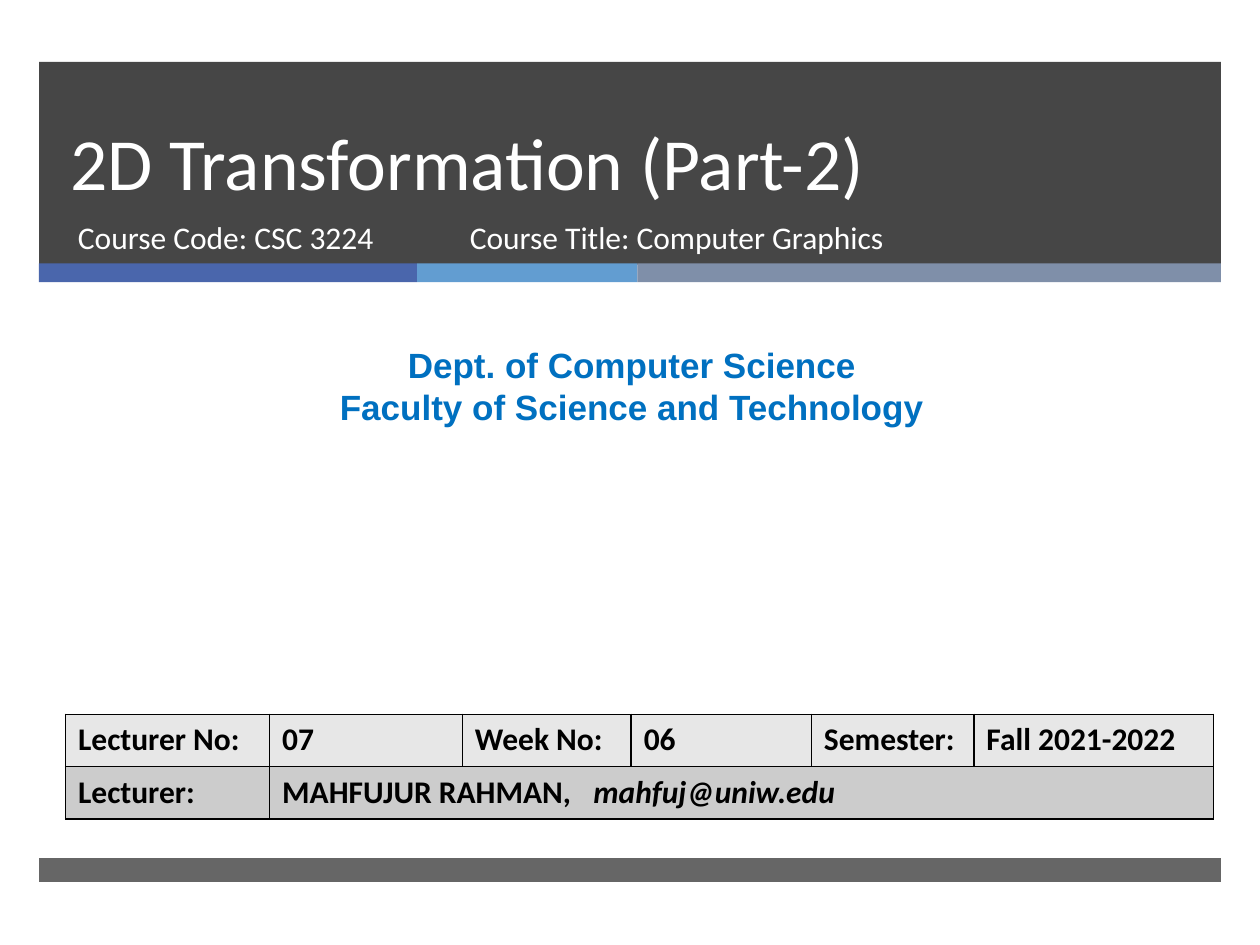
from lxml.etree import SubElement
from pptx import Presentation
from pptx.dml.color import RGBColor
from pptx.enum.shapes import MSO_SHAPE
from pptx.enum.text import MSO_ANCHOR, PP_ALIGN
from pptx.oxml.ns import qn
from pptx.util import Inches, Pt

# Content
COLORS = {
    "dark": "262626", "blue": "4A66AC", "sky": "629DD1", "slate": "7F8FA9",
    "white": "FFFFFF", "department": "0070C0", "black": "000000",
    "row_light": "E7E7E7", "row_dark": "CCCCCC",
}
TITLE = "2D Transformation (Part-2)"
COURSE_LINES = [  # text, left, width
    ("Course Code: CSC 3224", 0.52, 3.05),
    ("Course Title: Computer Graphics", 3.63, 4.55),
]
DEPARTMENT = ["Dept. of Computer Science", "Faculty of Science and Technology"]
LECTURE_ROW = ["Lecturer No:", "07", "Week No:", "06", "Semester:", "Fall 2021-2022"]
LECTURER_LABEL = "Lecturer:"
LECTURER, EMAIL = "MAHFUJUR RAHMAN,", "mahfuj@uniw.edu"

# Layout
BAND_LEFT, BAND_WIDTH = 0.31, 9.38
STRIPES = [("blue", 3), ("sky", 1.75), ("slate", 4.63)]
COLUMN_WIDTHS = [1.62, 1.53, 1.34, 1.43, 1.29, 1.9]
ROW_HEIGHT = 0.415
EMAIL_TAB = 2.47


def rgb(name):
    return RGBColor.from_string(COLORS[name])


def add_bar(slide, left, top, width, height, color, opacity=100):
    bar = slide.shapes.add_shape(
        MSO_SHAPE.RECTANGLE, Inches(left), Inches(top), Inches(width), Inches(height))
    bar.shadow.inherit = False
    bar.line.fill.background()
    bar.fill.solid()
    bar.fill.fore_color.rgb = rgb(color)
    if opacity < 100:
        color_element = bar._element.spPr.find(".//" + qn("a:srgbClr"))
        SubElement(color_element, qn("a:alpha"), val=str(opacity * 1000))


def format_text(text_frame, size, color, font="Calibri", bold=False, align=PP_ALIGN.LEFT):
    for paragraph in text_frame.paragraphs:
        paragraph.alignment = align
        for run in paragraph.runs:
            run.font.name = font
            run.font.size = Pt(size)
            run.font.bold = bold
            run.font.color.rgb = rgb(color)


def add_text(slide, text, left, top, width, height, **style):
    box = slide.shapes.add_textbox(
        Inches(left), Inches(top), Inches(width), Inches(height))
    box.text_frame.word_wrap = True
    box.text_frame.text = text
    format_text(box.text_frame, **style)


def format_cell(cell, color):
    cell.vertical_anchor = MSO_ANCHOR.TOP
    format_text(cell.text_frame, 18, "black", bold=True)
    properties = cell._tc.get_or_add_tcPr()
    for side in ("a:lnL", "a:lnR", "a:lnT", "a:lnB"):
        line = SubElement(properties, qn(side), w=str(Pt(1)))
        fill = SubElement(line, qn("a:solidFill"))
        SubElement(fill, qn("a:srgbClr"), val=COLORS["black"])
    cell.fill.solid()
    cell.fill.fore_color.rgb = rgb(color)


def add_lecture_table(slide):
    table = slide.shapes.add_table(
        2, len(COLUMN_WIDTHS), Inches(0.52), Inches(5.67),
        Inches(sum(COLUMN_WIDTHS)), Inches(2 * ROW_HEIGHT)).table
    for column, width in zip(table.columns, COLUMN_WIDTHS):
        column.width = Inches(width)
    for index, text in enumerate(LECTURE_ROW):
        table.cell(0, index).text = text
    table.cell(1, 0).text = LECTURER_LABEL

    # Lecturer name, with the e-mail address at a tab stop
    lecturer_cell = table.cell(1, 1)
    lecturer_cell.merge(table.cell(1, len(COLUMN_WIDTHS) - 1))
    paragraph = lecturer_cell.text_frame.paragraphs[0]
    paragraph.add_run().text = LECTURER + "\t"
    email = paragraph.add_run()
    email.text = EMAIL
    email.font.italic = True
    tabs = SubElement(paragraph._p.get_or_add_pPr(), qn("a:tabLst"))
    SubElement(tabs, qn("a:tab"), pos=str(Inches(EMAIL_TAB)), algn="l")

    for row, color in zip(table.rows, ("row_light", "row_dark")):
        row.height = Inches(ROW_HEIGHT)
        for cell in row.cells:
            format_cell(cell, color)


def main():
    presentation = Presentation()
    presentation.slide_width, presentation.slide_height = Inches(10), Inches(7.5)
    slide = presentation.slides.add_slide(presentation.slide_layouts[5])

    # Header band, coloured stripes and footer band
    add_bar(slide, BAND_LEFT, 0.49, BAND_WIDTH, 1.61, "dark", 85)
    left = BAND_LEFT
    for color, width in STRIPES:
        add_bar(slide, left, 2.09, width, 0.15, color)
        left += width
    add_bar(slide, BAND_LEFT, 6.81, BAND_WIDTH, 0.19, "dark", 70)

    # Title, raised above the header band
    title = slide.shapes.title
    title.left, title.top = Inches(0.46), Inches(0.49)
    title.width, title.height = Inches(8.54), Inches(1.19)
    title.text_frame.text = TITLE
    title.text_frame.vertical_anchor = MSO_ANCHOR.BOTTOM
    title.text_frame.paragraphs[0].line_spacing = Pt(46)
    format_text(title.text_frame, 42, "white")
    slide.shapes._spTree.append(title._element)

    # Course and department
    for text, left, width in COURSE_LINES:
        add_text(slide, text, left, 1.68, width, 0.53, size=18, color="white")
    add_text(slide, "\n".join(DEPARTMENT), 0.08, 2.68, 9.87, 0.77, size=20,
             color="department", font="Arial", bold=True, align=PP_ALIGN.CENTER)

    add_lecture_table(slide)
    presentation.save("out.pptx")


if __name__ == "__main__":
    main()
